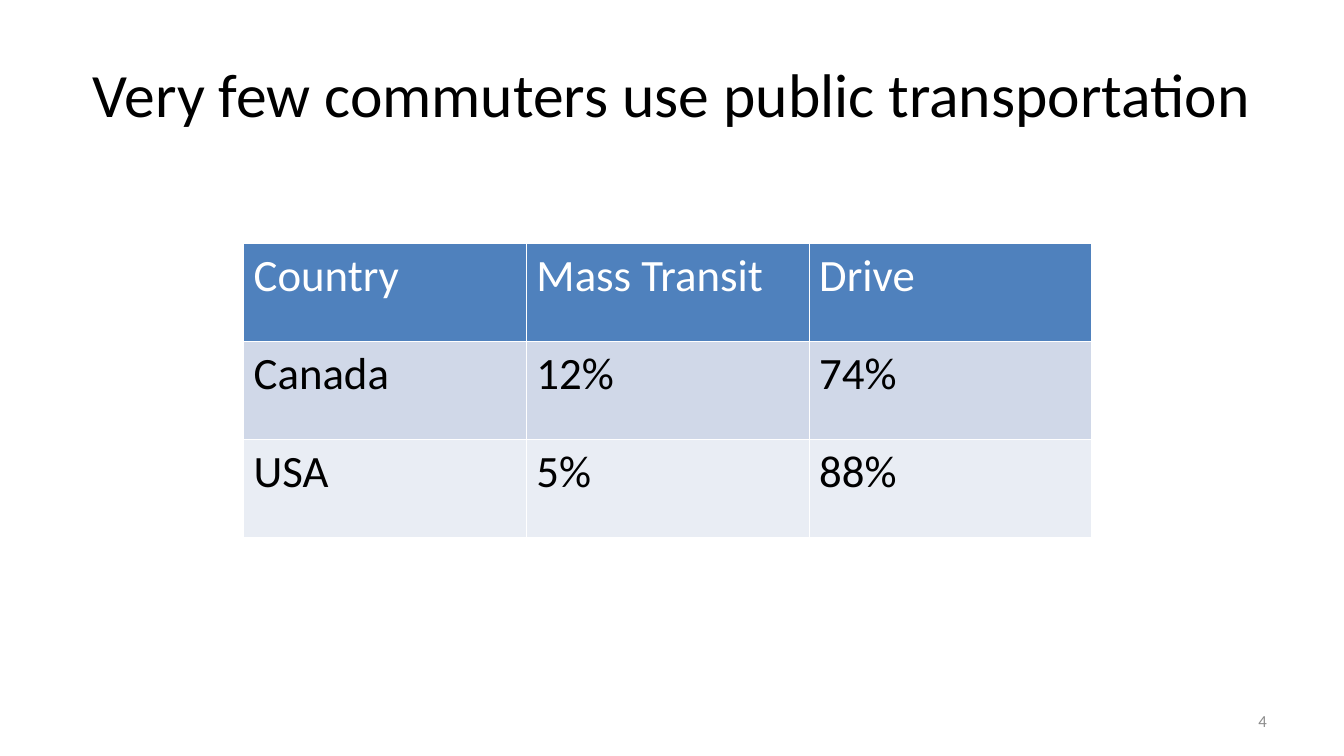
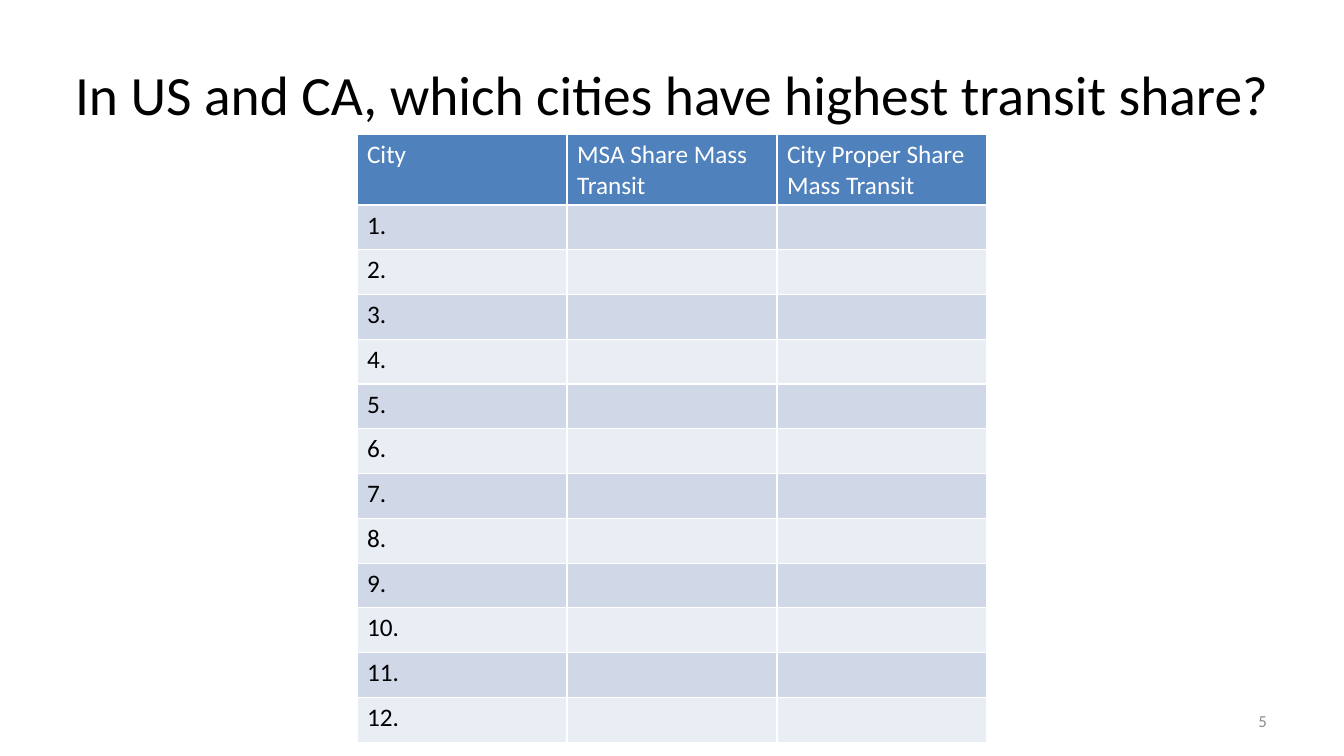
from dataclasses import dataclass

from lxml.etree import SubElement
from pptx import Presentation
from pptx.dml.color import RGBColor
from pptx.enum.text import MSO_ANCHOR, MSO_AUTO_SIZE, PP_ALIGN
from pptx.oxml.ns import qn
from pptx.util import Inches, Pt


@dataclass(frozen=True)
class Theme:
    """Colours, type sizes and line widths shared by the slides."""
    font: str = "Calibri"
    ink: RGBColor = RGBColor(0x00, 0x00, 0x00)
    paper: RGBColor = RGBColor(0xFF, 0xFF, 0xFF)
    muted: RGBColor = RGBColor(0x8C, 0x8C, 0x8C)
    header: RGBColor = RGBColor(0x4F, 0x81, 0xBD)
    bands: tuple = (RGBColor(0xD0, 0xD8, 0xE8), RGBColor(0xE9, 0xED, 0xF4))
    title_size: float = 44
    long_title_size: float = 39.6
    large_cell_size: float = 32
    small_cell_size: float = 18
    number_size: float = 12
    border: float = 1


THEME = Theme()
GRID_COLUMNS, GRID_ROWS = 160, 90
CELL = Inches(1) / 12
TITLE_ONLY = 5
NUMBER_BOX = (114.67, 83.4, 37.33, 4.8)


def grid(*steps):
    """Turn grid steps into slide lengths."""
    return [round(step * CELL) for step in steps]


def style(paragraph, size, color, align=None):
    """Format a paragraph and its runs."""
    paragraph.alignment = align
    for run in paragraph.runs:
        run.font.name = THEME.font
        run.font.size = Pt(size)
        run.font.bold = False
        run.font.color.rgb = color


def place_title(slide, text, box, size):
    """Fill the title placeholder and fit it to its box."""
    title = slide.shapes.title
    title.left, title.top, title.width, title.height = grid(*box)
    frame = title.text_frame
    frame.text = text
    frame.auto_size = MSO_AUTO_SIZE.NONE
    frame.vertical_anchor = MSO_ANCHOR.MIDDLE
    style(frame.paragraphs[0], size, THEME.ink, PP_ALIGN.CENTER)


def place_number(slide, number, box):
    """Write the slide number at the right of its box."""
    frame = slide.shapes.add_textbox(*grid(*box)).text_frame
    frame.word_wrap = True
    frame.vertical_anchor = MSO_ANCHOR.MIDDLE
    frame.text = str(number)
    style(frame.paragraphs[0], THEME.number_size, THEME.muted, PP_ALIGN.RIGHT)


def draw_borders(cell):
    """Draw a thin line on all four sides of a table cell."""
    properties = cell._tc.get_or_add_tcPr()
    for side in ("a:lnL", "a:lnR", "a:lnT", "a:lnB"):
        line = SubElement(properties, qn(side), w=str(Pt(THEME.border)))
        fill = SubElement(line, qn("a:solidFill"))
        SubElement(fill, qn("a:srgbClr"), val=str(THEME.paper))


def place_table(slide, records, box, header_height, size):
    """Draw a banded table with equal columns and body rows in its box."""
    left, top, width, height = box
    table = slide.shapes.add_table(
        len(records), len(records[0]), *grid(left, top, width, height)
    ).table
    body_height = (height - header_height) / (len(records) - 1)
    for index, (row, record) in enumerate(zip(table.rows, records)):
        is_header = index == 0
        row.height = grid(header_height if is_header else body_height)[0]
        background = THEME.header if is_header else THEME.bands[(index - 1) % 2]
        for cell, text in zip(row.cells, record):
            draw_borders(cell)
            cell.fill.solid()
            cell.fill.fore_color.rgb = background
            cell.text_frame.text = text
            style(cell.text_frame.paragraphs[0], size,
                  THEME.paper if is_header else THEME.ink)


def add_titled_slide(deck, number, title, title_box, title_size):
    """Add a slide with its title and number."""
    slide = deck.slides.add_slide(deck.slide_layouts[TITLE_ONLY])
    place_title(slide, title, title_box, title_size)
    place_number(slide, number, NUMBER_BOX)
    return slide


def build_commuter_slide(deck):
    """Compare transit and driving in two countries."""
    slide = add_titled_slide(
        deck, 4, "Very few commuters use public transportation",
        (8, 3.6, 144, 15), THEME.title_size)
    shares = [
        ("Country", "Mass Transit", "Drive"),
        ("Canada", "12%", "74%"),
        ("USA", "5%", "88%"),
    ]
    place_table(slide, shares, (29, 29, 101, 35), 35 / 3, THEME.large_cell_size)


def build_city_slide(deck):
    """Show an empty ranking of twelve cities."""
    slide = add_titled_slide(
        deck, 5, "In US and CA, which cities have highest transit share?",
        (6, 3.6, 148, 15), THEME.long_title_size)
    ranking = [("City", "MSA Share Mass Transit", "City Proper Share Mass Transit")]
    ranking += [(f"{rank}.", "", "") for rank in range(1, 13)]
    place_table(slide, ranking, (42.5, 16, 75, 72), 8, THEME.small_cell_size)


def main():
    """Build and save the deck."""
    deck = Presentation()
    deck.slide_width, deck.slide_height = grid(GRID_COLUMNS, GRID_ROWS)
    build_commuter_slide(deck)
    build_city_slide(deck)
    deck.save("out.pptx")


if __name__ == "__main__":
    main()
